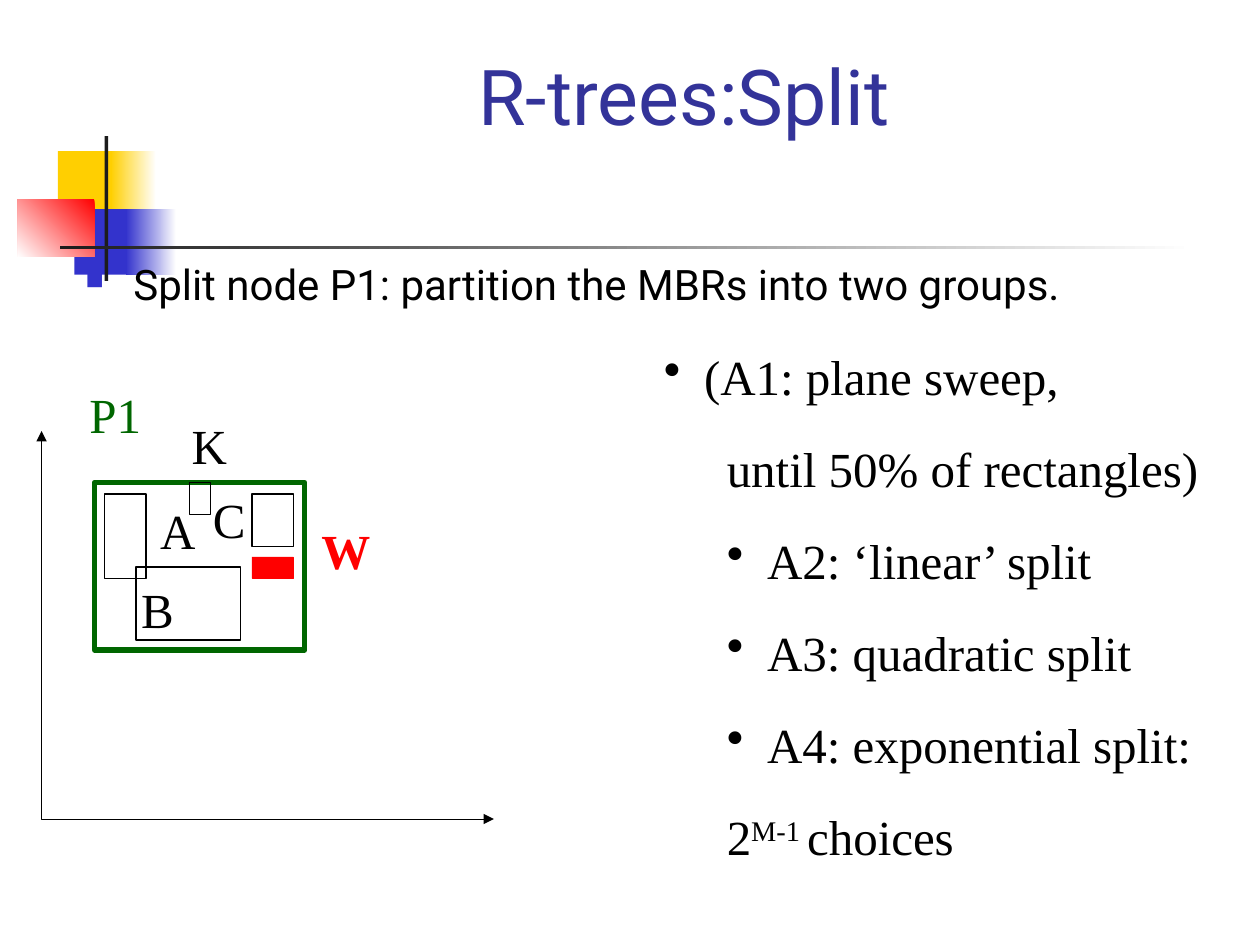
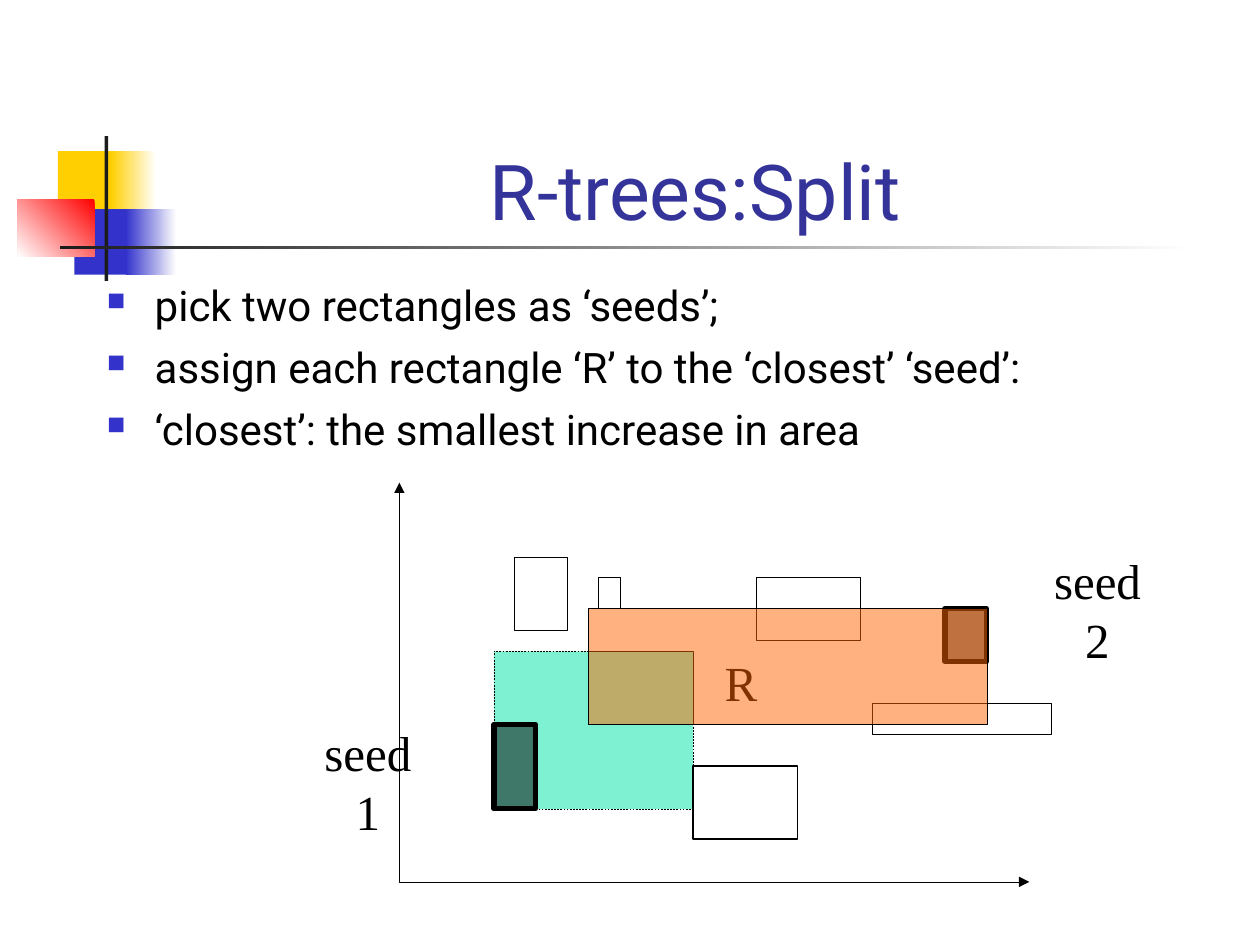
"""Build two slides on splitting R-tree nodes."""
from dataclasses import dataclass
from typing import Optional

from lxml.etree import SubElement
from pptx import Presentation
from pptx.dml.color import RGBColor
from pptx.enum.dml import MSO_LINE
from pptx.enum.shapes import MSO_SHAPE as Kind
from pptx.enum.text import MSO_ANCHOR as Anchor, PP_ALIGN as Align
from pptx.oxml.ns import qn
from pptx.util import Inches, Pt


@dataclass(frozen=True)
class Theme:
    black: str = "000000"
    white: str = "FFFFFF"
    ink: str = "1C1C1C"
    title: str = "333399"
    blue: str = "3333CC"
    gold: str = "FFCF01"
    red: str = "FF0000"
    green: str = "006600"
    mint: str = "00E4A8"
    orange: str = "FF6600"
    sans: str = "Roboto"
    serif: str = "Times New Roman"
    head: float = 44
    body: float = 24
    label: float = 28
    hair: float = 0.25
    thin: float = 0.75
    thick: float = 3


T = Theme()


@dataclass(frozen=True)
class Box:
    left: float
    top: float
    width: float
    height: float
    line: Optional[float] = T.hair
    edge: str = T.black
    fill: Optional[str] = None
    fade: Optional[str] = None
    angle: float = 180
    clear: bool = False
    dash: bool = False


@dataclass(frozen=True)
class Style:
    font: str
    size: float
    color: str = T.black
    bold: bool = False
    align: Align = Align.LEFT
    anchor: Anchor = Anchor.MIDDLE
    gap: float = 0
    wrap: bool = False


@dataclass(frozen=True)
class Mark:
    char: str
    color: str
    scale: int = 100


@dataclass(frozen=True)
class Para:
    text: str
    margin: float = 0
    hang: float = 0
    mark: Optional[Mark] = None
    power: str = ""
    tail: str = ""


@dataclass(frozen=True)
class Label:
    text: str
    left: float
    top: float
    width: float
    color: str = T.black
    bold: bool = False


HEAD = Style(T.sans, T.head, T.title, align=Align.CENTER, anchor=Anchor.BOTTOM, wrap=True)
BODY = Style(T.sans, T.body, anchor=Anchor.TOP, gap=6.7, wrap=True)
NOTES = Style(T.serif, T.label, gap=19)
SQUARE = Mark("■", T.blue, 60)
DOT = Mark("•", T.black)

DECOR = (
    Box(0.46, 1.2, 0.48, 0.52, None, fill=T.gold),
    Box(0.88, 1.2, 0.36, 0.52, None, fill=T.white, fade=T.gold),
    Box(0.59, 1.66, 0.46, 0.52, None, fill=T.blue),
    Box(1, 1.66, 0.4, 0.52, None, fill=T.white, fade=T.blue),
    Box(0.14, 1.58, 0.61, 0.46, None, fill=T.red, fade=T.white, angle=225),
    Box(0.83, 1.08, 0.03, 1.15, None, fill=T.ink),
    Box(0.48, 1.95, 9, 0.03, None, fill=T.white, fade=T.ink),
)

NODES = (
    Box(0.75, 3.83, 1.67, 1.33, T.thick, T.green),
    Box(0.83, 3.92, 0.33, 0.67, T.thin),
    Box(2, 3.92, 0.33, 0.42, T.thin),
    Box(1.08, 4.5, 0.83, 0.58, T.thin),
    Box(2, 4.42, 0.33, 0.17, edge=T.red, fill=T.red),
    Box(1.5, 3.83, 0.17, 0.25),
)
NAMES = (
    Label("A", 1.17, 3.92, 0.48),
    Label("B", 1.02, 4.55, 0.46),
    Label("C", 1.59, 3.83, 0.46),
    Label("W", 2.45, 4.08, 0.59, T.red, True),
    Label("K", 1.42, 3.25, 0.48),
    Label("P1", 0.61, 3, 0.61, T.green),
)
CHOICES = (
    Para("(A1: plane sweep,", 0.32, 0.32, DOT),
    Para("until 50% of rectangles)", 0.5),
    Para("A2: ‘linear’ split", 0.82, 0.32, DOT),
    Para("A3: quadratic split", 0.82, 0.32, DOT),
    Para("A4: exponential split:", 0.82, 0.32, DOT),
    Para("2", 0.5, power="M-1 ", tail="choices"),
)

GROWTH = Box(3.92, 5.17, 1.58, 1.25, fill=T.mint, clear=True, dash=True)
REACH = Box(4.67, 4.83, 3.17, 0.92, T.thin, fill=T.orange, clear=True)
RECTS = (
    Box(3.92, 5.75, 0.33, 0.67, T.thick, fill=T.black, clear=True),
    Box(7.5, 4.83, 0.33, 0.42, T.thick, fill=T.black, clear=True),
    Box(5.5, 6.08, 0.83, 0.58, T.thin),
    Box(4.75, 4.58, 0.17, 0.25),
    Box(4.67, 5.17, 0.83, 0.58),
    Box(4.08, 4.42, 0.42, 0.58),
    Box(6, 4.58, 0.83, 0.5),
    Box(6.92, 5.58, 1.42, 0.25),
)
SEEDS = (
    Label("seed1", 2.38, 5.92, 1.08),
    Label("seed2", 8.17, 4.55, 1.08),
    Label("R", 5.65, 5.13, 0.46),
)
STEPS = (
    "pick two rectangles as ‘seeds’;",
    "assign each rectangle ‘R’ to the ‘closest’ ‘seed’:",
    "‘closest’: the smallest increase in area",
)


def rgb(code: str) -> RGBColor:
    return RGBColor.from_string(code)


def draw_box(slide, box: Box) -> None:
    shape = slide.shapes.add_shape(
        Kind.RECTANGLE, *map(Inches, (box.left, box.top, box.width, box.height)))
    shape.shadow.inherit = False
    if box.fade:
        shape.fill.gradient()
        shape.fill.gradient_angle = box.angle
        for stop, color in zip(shape.fill.gradient_stops, (box.fill, box.fade)):
            stop.color.rgb = rgb(color)
    elif box.fill:
        shape.fill.solid()
        shape.fill.fore_color.rgb = rgb(box.fill)
        if box.clear:
            solid = shape._element.spPr.find(qn("a:solidFill"))
            SubElement(solid[0], qn("a:alpha"), val="50000")
    else:
        shape.fill.background()
    if box.line is None:
        shape.line.fill.background()
        return
    shape.line.color.rgb = rgb(box.edge)
    shape.line.width = Pt(box.line)
    if box.dash:
        shape.line.dash_style = MSO_LINE.DASH


def draw_axes(slide, left: float, top: float, right: float, base: float) -> None:
    pen = slide.shapes.build_freeform(Inches(left), Inches(top))
    pen.add_line_segments(
        [(Inches(left), Inches(base)), (Inches(right), Inches(base))], close=False)
    axes = pen.convert_to_shape()
    axes.shadow.inherit = False
    axes.fill.background()
    axes.line.color.rgb = rgb(T.black)
    axes.line.width = Pt(T.hair)
    line = axes._element.spPr.find(qn("a:ln"))
    for end in ("a:headEnd", "a:tailEnd"):
        SubElement(line, qn(end), type="triangle")


def add_mark(props, mark: Mark) -> None:
    color = SubElement(props, qn("a:buClr"))
    SubElement(color, qn("a:srgbClr"), val=mark.color)
    SubElement(props, qn("a:buSzPct"), val=str(mark.scale * 1000))
    SubElement(props, qn("a:buChar"), char=mark.char)


def draw_text(slide, spot: tuple[float, ...], paras: tuple[Para, ...], style: Style) -> None:
    frame = slide.shapes.add_textbox(*map(Inches, spot)).text_frame
    frame.word_wrap = style.wrap
    frame.vertical_anchor = style.anchor
    for rank, para in enumerate(paras):
        line = frame.add_paragraph() if rank else frame.paragraphs[0]
        line.alignment = style.align
        if rank:
            line.space_before = Pt(style.gap)
        props = line._p.get_or_add_pPr()
        props.set("marL", str(Inches(para.margin)))
        props.set("indent", str(Inches(-para.hang)))
        if para.mark:
            add_mark(props, para.mark)
        line.font.name = style.font
        line.font.size = Pt(style.size)
        line.font.bold = style.bold
        line.font.color.rgb = rgb(style.color)
        line.add_run().text = para.text
        if para.power:
            power = line.add_run()
            power.text = para.power
            power._r.get_or_add_rPr().set("baseline", "30000")
            line.add_run().text = para.tail


def draw_label(slide, label: Label) -> None:
    style = Style(T.serif, T.label, label.color, label.bold, Align.CENTER)
    draw_text(slide, (label.left, label.top, label.width, 0.57), (Para(label.text),), style)


def draw_body(slide, spot: tuple[float, ...], *lines: str) -> None:
    draw_text(slide, spot, tuple(Para(line, 0.38, 0.38, SQUARE) for line in lines), BODY)


def start_slide(deck, spot: tuple[float, ...]):
    slide = deck.slides.add_slide(deck.slide_layouts[6])
    for box in DECOR:
        draw_box(slide, box)
    draw_text(slide, spot, (Para("R-trees:Split"),), HEAD)
    return slide


def add_split(deck) -> None:
    slide = start_slide(deck, (1.17, 0.58, 8.52, 0.59))
    draw_body(slide, (0.58, 2, 9.21, 4.71),
              "Split node P1: partition the MBRs into two groups.")
    for node in NODES:
        draw_box(slide, node)
    draw_axes(slide, 0.33, 3.42, 3.92, 6.5)
    for name in NAMES:
        draw_label(slide, name)
    draw_text(slide, (5.17, 2.75, 4.44, 4.12), CHOICES, NOTES)


def add_seeds(deck) -> None:
    slide = start_slide(deck, (1.26, 0.67, 8.52, 1.25))
    draw_box(slide, GROWTH)
    draw_body(slide, (0.75, 2.17, 8.5, 4.5), *STEPS)
    draw_axes(slide, 3.17, 3.83, 8.17, 7)
    for rect in RECTS:
        draw_box(slide, rect)
    for seed in SEEDS:
        draw_label(slide, seed)
    draw_box(slide, REACH)


def main() -> None:
    deck = Presentation()
    deck.slide_width, deck.slide_height = Inches(10), Inches(7.5)
    add_split(deck)
    add_seeds(deck)
    deck.save("out.pptx")


if __name__ == "__main__":
    main()
